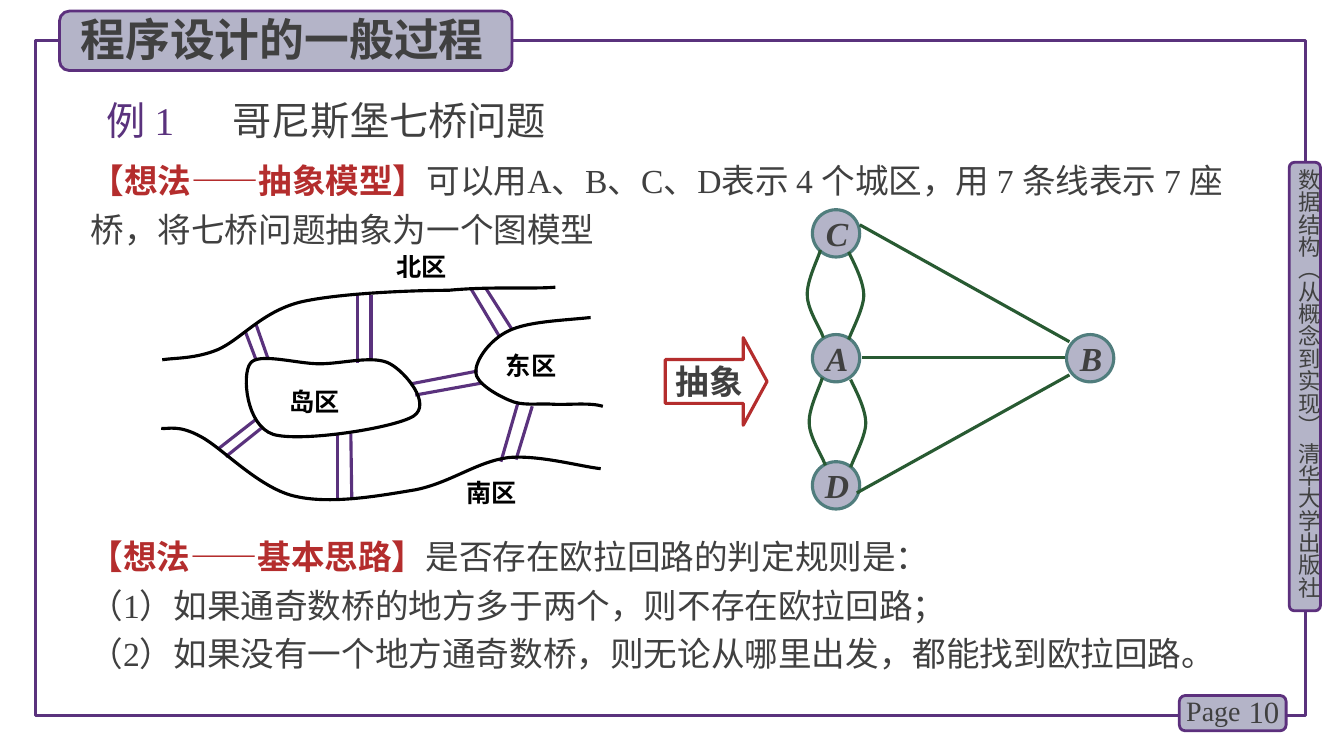
"""Build the slide on modelling the Königsberg bridges as a graph."""
from lxml.etree import SubElement
from pptx import Presentation
from pptx.dml.color import RGBColor
from pptx.enum.shapes import MSO_CONNECTOR, MSO_SHAPE as SHAPE
from pptx.enum.text import MSO_ANCHOR as ANCHOR, MSO_AUTO_SIZE as AUTO, PP_ALIGN as ALIGN
from pptx.oxml.ns import qn
from pptx.util import Pt

PURPLE = RGBColor(0x5A, 0x32, 0x7D)
BORDER = RGBColor(0x5C, 0x30, 0x7D)
LAVENDER = RGBColor(0xB4, 0xB4, 0xC8)
TEAL = RGBColor(0x50, 0x7D, 0x7D)
GREEN = RGBColor(0x28, 0x5A, 0x32)
RED = RGBColor(0xB4, 0x2D, 0x2D)
GRAY = RGBColor(0x40, 0x40, 0x40)
BLACK = RGBColor(0, 0, 0)
SERIF = "Times New Roman"
SANS = "Noto Sans CJK SC"

deck = Presentation()
deck.slide_width, deck.slide_height = Pt(960), Pt(540)
page = deck.slides.add_slide(deck.slide_layouts[6])
shapes = page.shapes


def write(shape, lines, size, name=SERIF, bold=False, align=ALIGN.LEFT,
          spacing=None, insets=None, anchor=ANCHOR.TOP, grow=False):
    """Fill a shape with paragraphs, each a list of (text, colour, bold) spans."""
    frame = shape.text_frame
    frame.word_wrap = True
    frame.vertical_anchor = anchor
    frame.auto_size = AUTO.SHAPE_TO_FIT_TEXT if grow else AUTO.NONE
    if insets is not None:
        frame.margin_left = Pt(insets)
        frame.margin_top = frame.margin_right = frame.margin_bottom = 0
    for index, spans in enumerate(lines):
        para = frame.add_paragraph() if index else frame.paragraphs[0]
        para.alignment = align
        para.line_spacing = spacing
        font = para.font
        font.name, font.size, font.bold = name, Pt(size), bold
        font.color.rgb = spans[0][1]
        SubElement(para._p.pPr.find(qn("a:defRPr")), qn("a:ea"), typeface=SANS)
        for text, color, heavy in spans:
            span = para.add_run()
            span.text = text
            if len(spans) > 1:
                span.font.color.rgb, span.font.bold = color, heavy
    return frame


def outline(shape, line, width=2.25, fill=None):
    """Give a shape its line and fill, without a shadow."""
    shape.shadow.inherit = False
    shape.line.color.rgb, shape.line.width = line, Pt(width)
    if fill is None:
        shape.fill.background()
    else:
        shape.fill.solid()
        shape.fill.fore_color.rgb = fill
    return shape


border = shapes.add_shape(SHAPE.RECTANGLE, Pt(25.2), Pt(28.8), Pt(907.2), Pt(482.2))
outline(border, PURPLE)
for panel in [(920.9, 115.9, 22.3, 320.4), (842.4, 496.8, 76.3, 25.2), (42.5, 7.9, 323.3, 42.5)]:
    tab = shapes.add_shape(SHAPE.ROUNDED_RECTANGLE, *map(Pt, panel))
    outline(tab, BORDER, 2, LAVENDER)

spine = shapes.add_textbox(Pt(925.2), Pt(120.6), Pt(19.4), Pt(323.3))
spine_frame = write(spine, [[("数据结构（从概念到实现） 清华大学出版社", GRAY, False)]], 16, SANS, insets=0)
spine_frame._txBody.bodyPr.set("vert", "eaVert")
number = shapes.add_textbox(Pt(878.4), Pt(493.9), Pt(42.5), Pt(28.8))
write(number, [[("10", GRAY, False)]], 22, align=ALIGN.RIGHT, anchor=ANCHOR.MIDDLE)
page_word = shapes.add_textbox(Pt(840.2), Pt(491.8), Pt(56.2), Pt(31.7))
write(page_word, [[("Page", GRAY, False)]], 20, grow=True)
title = shapes.add_textbox(Pt(50.4), Pt(5), Pt(319.7), Pt(46.1))
write(title, [[("程序设计的一般过程", GRAY, True)]], 32, SANS, True, grow=True)

example = shapes.add_textbox(Pt(69.1), Pt(68.8), Pt(337), Pt(46.1))
example_para = example.text_frame.paragraphs[0]
tab_list = SubElement(example_para._p.get_or_add_pPr(), qn("a:tabLst"))
SubElement(tab_list, qn("a:tab"), pos=str(Pt(90)), algn="l")
write(example, [[("例 1\t", PURPLE, False), ("哥尼斯堡七桥问题", GRAY, False)]], 28, spacing=0.9)

model = shapes.add_textbox(Pt(57.6), Pt(104.4), Pt(842.4), Pt(77.8))
write(model, [[("【想法——抽象模型】", RED, True),
               ("可以用A、B、C、D表示 4 个城区，用 7 条线表示 7 座桥，将七桥问题抽象为一个图模型",
                GRAY, False)]],
      24, spacing=Pt(35), anchor=ANCHOR.MIDDLE, grow=True)
rules = shapes.add_textbox(Pt(56.9), Pt(372.8), Pt(842.4), Pt(112.3))
write(rules, [[("【想法——基本思路】", RED, True), ("是否存在欧拉回路的判定规则是：", GRAY, False)],
              [("（1）如果通奇数桥的地方多于两个，则不存在欧拉回路；", GRAY, False)],
              [("（2）如果没有一个地方通奇数桥，则无论从哪里出发，都能找到欧拉回路。", GRAY, False)]],
      24, spacing=1.2, anchor=ANCHOR.MIDDLE, grow=True)

for letter, left, top in [("C", 580.3, 149.8), ("A", 580.3, 239), ("D", 580.3, 329.8), ("B", 761.8, 239)]:
    node = shapes.add_shape(SHAPE.OVAL, Pt(left), Pt(top), Pt(33.8), Pt(33.8))
    outline(node, TEAL, fill=LAVENDER)
    node_frame = write(node, [[(letter, GRAY, True)]], 24, bold=True,
                       align=ALIGN.CENTER, spacing=Pt(26), insets=1.4)
    node_frame.paragraphs[0].font.italic = True

edges = [(614.2, 160.6, 763.9, 244.1), (615.6, 255.6, 761, 255.6), (612, 352.1, 763.9, 267.8)]
bridges = [
    (293, 274.3, 341.3, 265), (296.6, 282.2, 344.2, 273.6),
    (175, 236.2, 182.9, 257), (182.9, 231.8, 191.5, 256.3),
    (182.9, 299.5, 156.2, 320.4), (186.5, 306, 161.3, 326.2),
    (241.2, 311, 241.2, 357.8), (250.6, 309.6, 251.3, 357.1),
    (336.2, 205.9, 356.4, 239.8), (347, 205.9, 365.8, 235.4),
    (370.1, 287.3, 357.8, 329.8), (380.2, 290.2, 368.6, 328.3),
    (255.6, 210.2, 255.6, 259.2), (265, 211, 265, 257),
]
for color, lines in [(GREEN, edges), (PURPLE, bridges)]:
    for ends in lines:
        link = shapes.add_connector(MSO_CONNECTOR.STRAIGHT, *map(Pt, ends))
        link.line.color.rgb, link.line.width = color, Pt(2.25)
        SubElement(link._element.spPr, qn("a:effectLst"))

left_arc = [(586.1, 178.6), (584.6, 184.3), (576, 200.9), (576.7, 211),
            (576.7, 221), (586.1, 234.7), (588.2, 241.2)]
right_arc = [(606.2, 180), (608.4, 185), (617, 200.2), (617, 211),
             (617, 220.3), (608.4, 236.2), (606.2, 242.6)]
east_bank = [(421.9, 226.8), (400.3, 229), (377.3, 229.7), (363.6, 236.2), (349.9, 242.6),
             (339.8, 257), (339.8, 265.7), (339.8, 273.6), (355, 282.2), (363.6, 285.8),
             (373, 290.2), (383, 288), (394.6, 288.7), (405.4, 289.4), (421.2, 287.3), (430.6, 290.2)]
north_bank = [(115.9, 257), (125.3, 255.6), (139.7, 256.3), (155.5, 249.8), (172.1, 242.6),
              (186.5, 223.2), (213.8, 216), (240.5, 209.5), (295.2, 207.4), (320.4, 207.4),
              (350.6, 204.5), (380.9, 206.6), (396.7, 205.2)]
south_bank = [(115.2, 306), (120.2, 306.7), (127.4, 303.1), (143.3, 311.8), (158.4, 319.7),
              (184.3, 347.8), (209.5, 354.2), (235.4, 360.7), (270.7, 354.2), (296.6, 349.9),
              (321.8, 344.9), (340.6, 329.8), (362.9, 326.9), (384.5, 324.7), (415.4, 333.4), (429.1, 334.8)]
island = [(228.2, 259.9), (211.7, 259.9), (183.6, 251.3), (178.6, 259.9), (172.8, 267.8),
          (175.7, 303.8), (195.1, 310.3), (214.6, 316.1), (280.8, 306), (295.2, 297.4),
          (308.9, 288.7), (289.4, 265.7), (278.6, 259.9), (267.1, 253.4), (244.8, 259.9), (228.2, 259.9)]
curves = [(GREEN, [(x + dx, y + dy) for x, y in arc])
          for arc in (left_arc, right_arc) for dx, dy in ((0, 0), (1.4, 91.2))]
curves += [(BLACK, bank) for bank in (east_bank, north_bank, south_bank, island)]
for color, knots in curves:
    builder = shapes.build_freeform(Pt(knots[0][0]), Pt(knots[0][1]))
    builder.add_line_segments([(Pt(x), Pt(y)) for x, y in knots[1:]], close=knots[0] == knots[-1])
    curve = outline(builder.convert_to_shape(), color)
    segments = list(curve._element.iter(qn("a:lnTo")))
    for first in range(0, len(segments), 3):
        bend, *others = segments[first:first + 3]
        bezier = bend.getparent().makeelement(qn("a:cubicBezTo"))
        bend.addprevious(bezier)
        for segment in (bend, *others):
            bezier.append(segment[0])
            segment.getparent().remove(segment)

arrow = shapes.add_shape(SHAPE.RIGHT_ARROW, Pt(475.2), Pt(241.2), Pt(72.7), Pt(62.6))
arrow.adjustments[0], arrow.adjustments[1] = 0.5, 0.272
outline(arrow, RED)
write(arrow, [[("抽象", GRAY, True)]], 24, bold=True, insets=7.4, anchor=ANCHOR.MIDDLE)

for district, left, top in [("东区", 361.4, 254.2), ("北区", 283.3, 183.6),
                            ("岛区", 206.6, 280.1), ("南区", 333.4, 344.9)]:
    label = shapes.add_textbox(Pt(left), Pt(top), Pt(47.5), Pt(20.9))
    write(label, [[(district, BLACK, True)]], 18, bold=True, spacing=0.8, insets=0)

deck.save("out.pptx")
